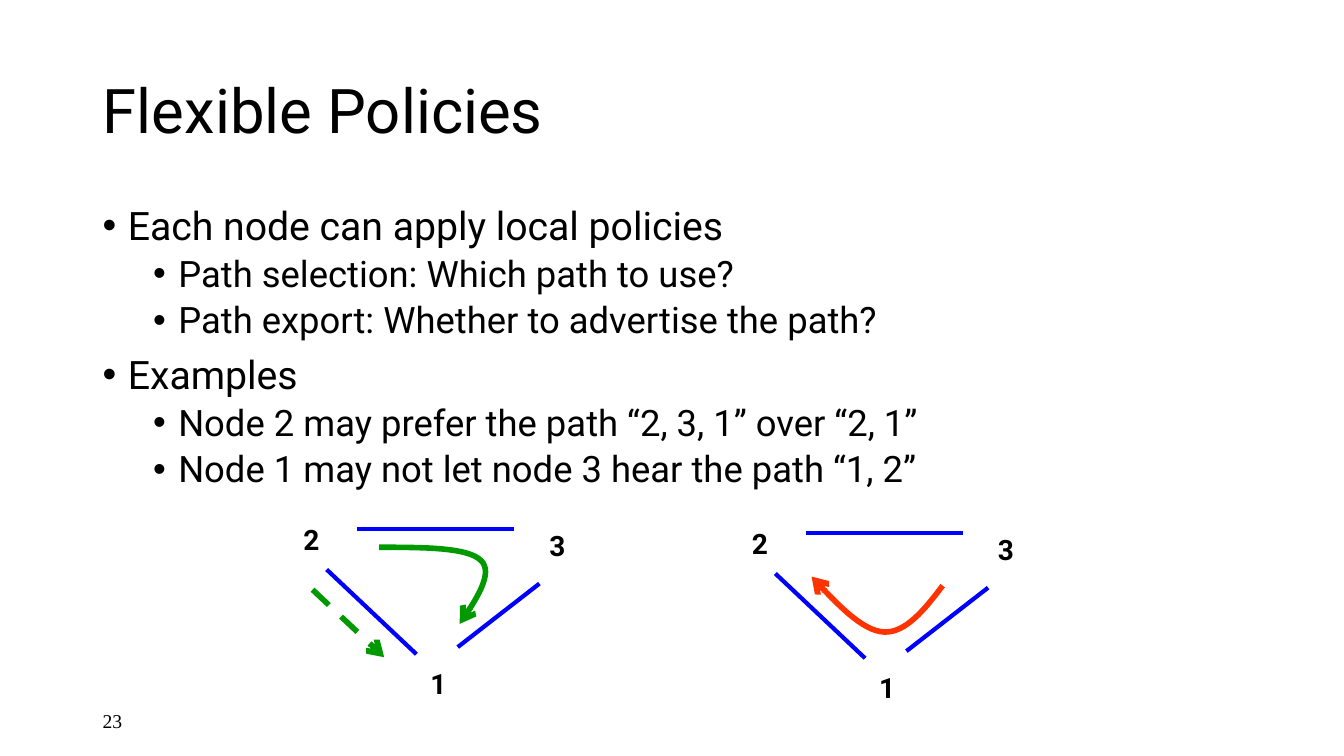
import pptx
import pptx.dml.color
import pptx.enum.dml
import pptx.enum.shapes
import pptx.enum.text
import pptx.oxml.ns
import pptx.util
from lxml import etree
from pptx.util import Inches

BLACK = pptx.dml.color.RGBColor(0x00, 0x00, 0x00)
BLUE = pptx.dml.color.RGBColor(0x00, 0x00, 0xFF)
GREEN = pptx.dml.color.RGBColor(0x00, 0x99, 0x00)
ORANGE = pptx.dml.color.RGBColor(0xFF, 0x33, 0x00)
CURVE_STEPS = 16

BULLETS = [
    (0, "Each node can apply local policies"),
    (1, "Path selection: Which path to use?"),
    (1, "Path export: Whether to advertise the path?"),
    (0, "Examples"),
    (1, "Node 2 may prefer the path “2, 3, 1” over “2, 1”"),
    (1, "Node 1 may not let node 3 hear the path “1, 2”"),
]
NODES = [("2", 2.91, 5.13), ("3", 5.35, 5.19), ("1", 4.17, 6.56)]
LINKS = [
    ((3.54, 5.25), (5.1, 5.25)),
    ((5.35, 5.79), (4.54, 6.42)),
    ((3.24, 5.65), (4.13, 6.49)),
]
TRIANGLE_OFFSETS = [(0, 0), (4.45, 0.04)]
PREFERRED_PATH = [
    (3.76, 5.43), (4.2, 5.43), (4.64, 5.43), (4.77, 5.56),
    (4.9, 5.68), (4.73, 5.94), (4.56, 6.19),
]
HIDDEN_PATH = [
    (9.35, 5.81), (9.17, 6.05), (8.98, 6.28), (8.77, 6.27),
    (8.55, 6.26), (8.3, 5.99), (8.05, 5.72),
]


def add_child(parent, tag, **attributes):
    return etree.SubElement(parent, pptx.oxml.ns.qn(tag), **attributes)


def write_text(para, text, size, font="Roboto", bold=False, spacing=None, before=0):
    para.alignment = pptx.enum.text.PP_ALIGN.LEFT
    para.space_before = pptx.util.Pt(before)
    if spacing:
        para.line_spacing = spacing
    span = para.add_run()
    span.text = text
    span.font.size = pptx.util.Pt(size)
    span.font.name = font
    span.font.bold = bold
    span.font.color.rgb = BLACK


def add_box(page, left, top, width, height, wrap=True):
    box = page.shapes.add_textbox(Inches(left), Inches(top), Inches(width), Inches(height))
    box.text_frame.word_wrap = wrap
    return box.text_frame


def add_title(page, text):
    title = page.shapes.title
    title.left, title.top = Inches(0.92), Inches(0.4)
    title.width, title.height = Inches(11.5), Inches(1.45)
    title.text_frame.vertical_anchor = pptx.enum.text.MSO_ANCHOR.MIDDLE
    title.text_frame.auto_size = pptx.enum.text.MSO_AUTO_SIZE.NONE
    write_text(title.text_frame.paragraphs[0], text, 44, spacing=0.9)


def add_bullets(page):
    frame = add_box(page, 0.92, 2, 11.5, 4.76)
    for index, (level, text) in enumerate(BULLETS):
        para = frame.add_paragraph() if index else frame.paragraphs[0]
        para.level = level
        properties = para._p.get_or_add_pPr()
        properties.set("marL", str(Inches(0.25 + 0.5 * level)))
        properties.set("indent", str(Inches(-0.25)))
        add_child(properties, "a:buFont", typeface="Arial")
        add_child(properties, "a:buChar", char="•")
        before = (5 if level else 10) if index else 0
        write_text(para, text, 26 if level else 28, spacing=0.9, before=before)


def style_line(shape, color, width, arrow=False, dashed=False):
    shape.line.color.rgb = color
    shape.line.width = pptx.util.Pt(width)
    if dashed:
        shape.line.dash_style = pptx.enum.dml.MSO_LINE.DASH
    if arrow:
        add_child(shape.line._get_or_add_ln(), "a:tailEnd", type="arrow")


def add_line(page, start, end, color, width, **style):
    ends = [Inches(value) for value in (*start, *end)]
    line = page.shapes.add_connector(pptx.enum.shapes.MSO_CONNECTOR.STRAIGHT, *ends)
    style_line(line, color, width, **style)
    add_child(line._element.spPr, "a:effectLst")


def curve_point(controls, t):
    weights = ((1 - t) ** 3, 3 * t * (1 - t) ** 2, 3 * t ** 2 * (1 - t), t ** 3)
    return tuple(
        Inches(sum(weight * point[axis] for weight, point in zip(weights, controls)))
        for axis in (0, 1)
    )


def add_curved_arrow(page, controls, color):
    points = [
        curve_point(controls[first:first + 4], step / CURVE_STEPS)
        for first in range(0, len(controls) - 1, 3)
        for step in range(1, CURVE_STEPS + 1)
    ]
    start_x, start_y = curve_point(controls[:4], 0)
    builder = page.shapes.build_freeform(start_x, start_y)
    builder.add_line_segments(points, close=False)
    arrow = builder.convert_to_shape()
    arrow.shadow.inherit = False
    arrow.fill.background()
    style_line(arrow, color, 4, arrow=True)


def add_triangle(page, shift_x, shift_y):
    for name, left, top in NODES:
        frame = add_box(page, left + shift_x, top + shift_y, 0.36, 0.44, wrap=False)
        frame.auto_size = pptx.enum.text.MSO_AUTO_SIZE.SHAPE_TO_FIT_TEXT
        write_text(frame.paragraphs[0], name, 20, bold=True)
    for link in LINKS:
        start, end = [(x + shift_x, y + shift_y) for x, y in link]
        add_line(page, start, end, BLUE, 3)


def add_page_number(page, number):
    frame = add_box(page, 0.92, 6.95, 3, 0.4)
    frame.vertical_anchor = pptx.enum.text.MSO_ANCHOR.MIDDLE
    write_text(frame.paragraphs[0], number, 14, font="Times New Roman")


def main():
    deck = pptx.Presentation()
    deck.slide_width, deck.slide_height = Inches(13.33), Inches(7.5)
    page = deck.slides.add_slide(deck.slide_layouts[5])
    add_title(page, "Flexible Policies")
    add_bullets(page)
    add_page_number(page, "23")
    for offset in TRIANGLE_OFFSETS:
        add_triangle(page, *offset)
    add_curved_arrow(page, PREFERRED_PATH, GREEN)
    add_line(page, (3.1, 5.85), (3.81, 6.52), GREEN, 4, arrow=True, dashed=True)
    add_curved_arrow(page, HIDDEN_PATH, ORANGE)
    deck.save("out.pptx")


if __name__ == "__main__":
    main()
